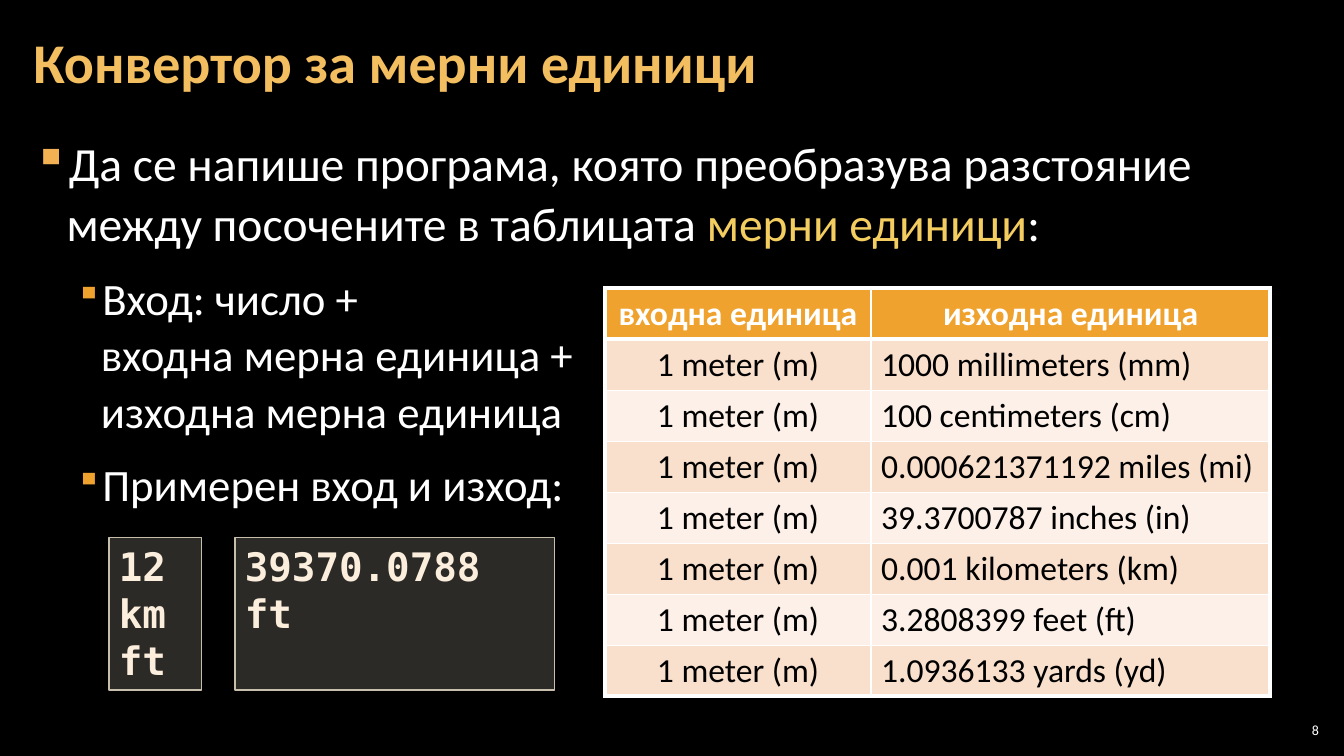
from lxml import etree
from pptx import Presentation
from pptx.dml.color import RGBColor
from pptx.enum.shapes import MSO_SHAPE
from pptx.enum.text import MSO_ANCHOR, PP_ALIGN
from pptx.oxml.ns import qn
from pptx.util import Inches, Pt

WIDTH, HEIGHT = Inches(13.33), Inches(7.5)
BLACK = RGBColor(0x00, 0x00, 0x00)
WHITE = RGBColor(0xFF, 0xFF, 0xFF)
TITLE_GOLD = RGBColor(0xF3, 0xBE, 0x60)
TERM_GOLD = RGBColor(0xF3, 0xCD, 0x60)
BULLET_GOLD = RGBColor(0xF2, 0xB2, 0x54)
ORANGE = RGBColor(0xF0, 0xA2, 0x2E)
BAND_DARK = RGBColor(0xF9, 0xE0, 0xCD)
BAND_LIGHT = RGBColor(0xFC, 0xF0, 0xE8)
CODE_FILL = RGBColor(0xD9, 0xD5, 0xC7)
CODE_LINE = RGBColor(0xC7, 0xBF, 0xAC)
CODE_TEXT = RGBColor(0xFB, 0xEE, 0xDC)
BODY_FONT, CODE_FONT = "Calibri", "DejaVu Sans Mono"

HEADERS = ["входна единица", "изходна единица"]
CONVERSIONS = [
    "1000 millimeters (mm)", "100 centimeters (cm)", "0.000621371192 miles (mi)",
    "39.3700787 inches (in)", "0.001 kilometers (km)", "3.2808399 feet (ft)",
    "1.0936133 yards (yd)",
]


def area(left, top, width, height):
    """Turn percentages of the slide into left, top, width and height."""
    return (int(WIDTH * left / 100), int(HEIGHT * top / 100),
            int(WIDTH * width / 100), int(HEIGHT * height / 100))


def add_text(paragraph, text, size, color, bold=False, font=BODY_FONT):
    """Append a formatted run, turning newlines into line breaks."""
    for index, line in enumerate(text.split("\n")):
        if index:
            paragraph.add_line_break()
        run = paragraph.add_run()
        run.text = line
        run.font.size, run.font.bold, run.font.name = Pt(size), bold, font
        run.font.color.rgb = color


def add_textbox(slide, place, inset=0.12, anchor=MSO_ANCHOR.TOP):
    """Add a wrapping text box and return its text frame."""
    frame = slide.shapes.add_textbox(*area(*place)).text_frame
    frame.word_wrap, frame.vertical_anchor = True, anchor
    frame.margin_left = frame.margin_right = Inches(inset)
    frame.margin_top = frame.margin_bottom = Inches(0.04)
    return frame


def set_bullet(paragraph, margin, hanging, color, percent):
    """Give a paragraph its spacing, hanging indent and square bullet."""
    paragraph.line_spacing = 1.05
    paragraph.space_before = paragraph.space_after = Pt(6)
    properties = paragraph._p.get_or_add_pPr()
    properties.set("marL", str(Inches(margin)))
    properties.set("indent", str(-Inches(hanging)))
    bullet_color = etree.SubElement(properties, qn("a:buClr"))
    etree.SubElement(bullet_color, qn("a:srgbClr"), val=str(color))
    etree.SubElement(properties, qn("a:buSzPct"), val=str(percent * 1000))
    etree.SubElement(properties, qn("a:buChar"), char="▪")


def add_task(slide):
    """Write the task with its two sub-points."""
    frame = add_textbox(slide, (1.58, 16.8, 96.85, 81.2))
    task = frame.paragraphs[0]
    set_bullet(task, 0.33, 0.33, BULLET_GOLD, 100)
    add_text(task, "Да се напише програма, която преобразува разстояние "
                   "между посочените в таблицата ", 34, WHITE)
    add_text(task, "мерни единици", 34, TERM_GOLD)
    add_text(task, ":", 34, WHITE)
    for text in ("Вход: число +\nвходна мерна единица +\nизходна мерна единица",
                 "Примерен вход и изход:"):
        point = frame.add_paragraph()
        point.level = 1
        set_bullet(point, 0.67, 0.25, ORANGE, 80)
        add_text(point, text, 32, WHITE)


def set_borders(cell, widths):
    """Draw white borders of the given widths in points around a cell."""
    properties = cell._tc.get_or_add_tcPr()
    for index, (side, width) in enumerate(widths.items()):
        line = etree.Element(qn(f"a:ln{side}"), w=str(Pt(width)))
        fill = etree.SubElement(line, qn("a:solidFill"))
        etree.SubElement(fill, qn("a:srgbClr"), val=str(WHITE))
        properties.insert(index, line)


def add_unit_table(slide):
    """Add the conversion table with a header and banded rows."""
    rows = [HEADERS] + [["1 meter (m)", target] for target in CONVERSIONS]
    last = len(rows) - 1
    left, top, width, height = area(45.01, 38.13, 49.5, 54)
    table = slide.shapes.add_table(len(rows), 2, left, top, width, height).table
    for column, share in zip(table.columns, (0.4, 0.6)):
        column.width = int(width * share)
    for r, row in enumerate(rows):
        for c, text in enumerate(row):
            cell = table.cell(r, c)
            header = r == 0
            cell.fill.solid()
            cell.fill.fore_color.rgb = (
                ORANGE if header else BAND_DARK if r % 2 else BAND_LIGHT)
            set_borders(cell, {
                "L": 3 if c == 0 else 1, "R": 3 if c == 1 else 1,
                "T": 3 if r in (0, 1) else 1, "B": 3 if r in (0, last) else 1})
            paragraph = cell.text_frame.paragraphs[0]
            centred = header or c == 0
            paragraph.alignment = PP_ALIGN.CENTER if centred else PP_ALIGN.LEFT
            add_text(paragraph, text, 24, WHITE if header else BLACK, header)


def add_code_box(slide, left, width, lines):
    """Add a translucent box with one paragraph for each line of code."""
    box = slide.shapes.add_shape(MSO_SHAPE.RECTANGLE, *area(left, 71.07, width, 20.2))
    box.shadow.inherit = False
    box.fill.solid()
    box.fill.fore_color.rgb = CODE_FILL
    color = box.fill._xPr.find(qn("a:solidFill"))[0]
    etree.SubElement(color, qn("a:alpha"), val="20000")
    box.line.color.rgb, box.line.width = CODE_LINE, Pt(1)
    frame = box.text_frame
    frame.word_wrap, frame.vertical_anchor = True, MSO_ANCHOR.TOP
    for index, line in enumerate(lines):
        paragraph = frame.add_paragraph() if index else frame.paragraphs[0]
        paragraph.alignment = PP_ALIGN.LEFT
        add_text(paragraph, line, 28, CODE_TEXT, True, CODE_FONT)


def main():
    """Build the slide and save it."""
    deck = Presentation()
    deck.slide_width, deck.slide_height = WIDTH, HEIGHT
    slide = deck.slides.add_slide(deck.slide_layouts[6])
    slide.background.fill.solid()
    slide.background.fill.fore_color.rgb = BLACK

    number = add_textbox(slide, (94.9, 95.2, 3.53, 2.8), 0.04, MSO_ANCHOR.MIDDLE)
    number.paragraphs[0].alignment = PP_ALIGN.RIGHT
    add_text(number.paragraphs[0], "8", 10, WHITE)
    add_task(slide)
    title = add_textbox(slide, (1.58, 0.53, 78.54, 16.13), anchor=MSO_ANCHOR.MIDDLE)
    title.paragraphs[0].line_spacing = 0.9
    add_text(title.paragraphs[0], "Конвертор за мерни единици", 40, TITLE_GOLD, True)
    add_unit_table(slide)
    add_code_box(slide, 8.1, 6.9, ["12", "km", "ft"])
    add_code_box(slide, 17.48, 23.78, ["39370.0788 ft"])
    deck.save("out.pptx")


main()
